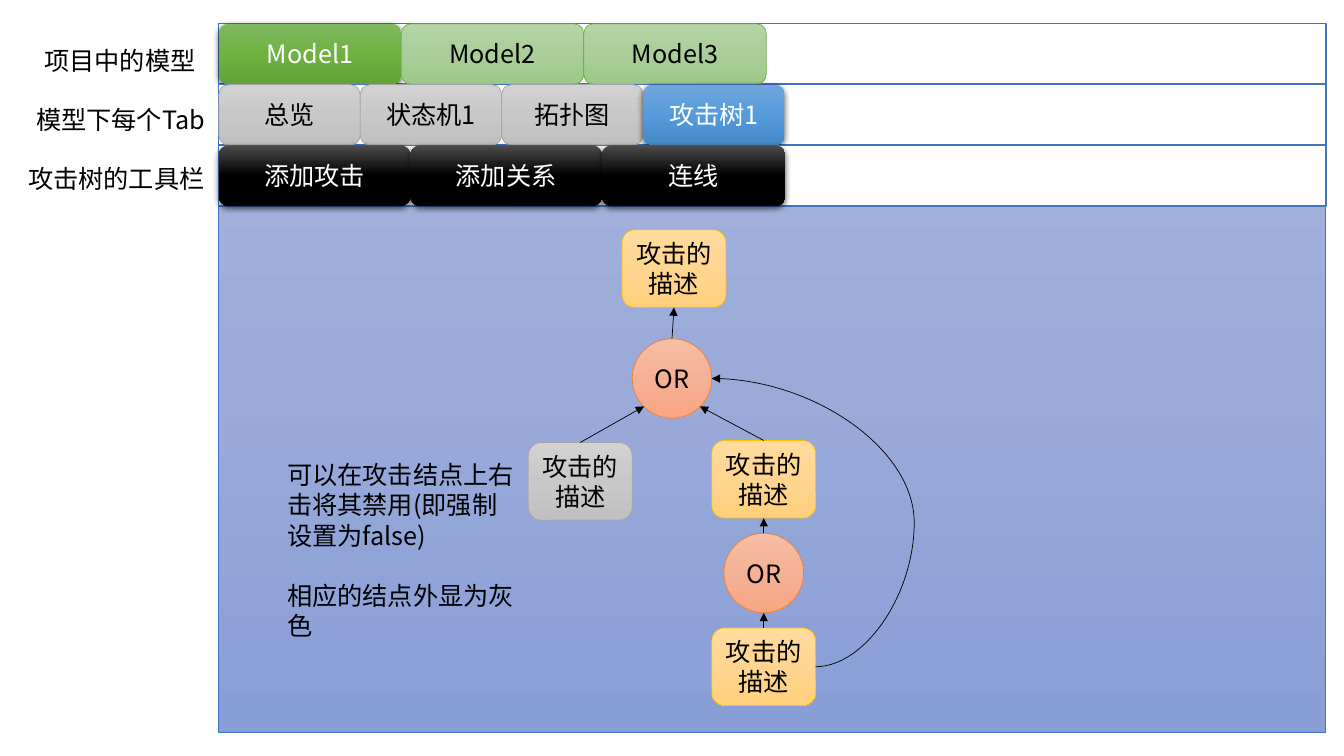
from copy import deepcopy
from lxml.etree import SubElement as Sub
from pptx import Presentation as Deck
from pptx.dml.color import RGBColor as Rgb
from pptx.enum.shapes import MSO_CONNECTOR as Link, MSO_SHAPE as Form
from pptx.enum.text import MSO_ANCHOR as Anchor, PP_ALIGN as Align
from pptx.oxml.ns import qn
from pptx.util import Inches, Pt

FONT = "Noto Sans CJK SC"
COLS, ROWS = 133.3, 75
BLUE, WHITE, BLACK = "4472C4", "FFFFFF", "000000"

# Looks: three gradient stops, line colour (none gives a shadow), text colour
PANE = ("A8B7DF", "9AABD9", "889ED7"), BLUE, BLACK
GREEN = ("81B861", "6FB242", "62A336"), None, WHITE
PALE = ("B5D5A7", "AACE9A", "9CC987"), "70AD47", BLACK
GREY = ("D2D2D2", "C8C8C8", "C0C0C0"), "A5A5A5", BLACK
SKY = ("71A6DB", "559BDB", "448ACA"), None, WHITE
DARK = ("4B4B4B", BLACK, BLACK), None, WHITE
GOLD = ("FFDB9E", "FFD590", "FFD07C"), "FFC000", BLACK
CORAL = ("F7BDA5", "F5B196", "F8A582"), "ED7D31", BLACK


def tint(target, code):
    target.rgb = Rgb.from_string(code)


def write(frame, *lines, color=BLACK, size=18, align=Align.LEFT,
          anchor=Anchor.TOP, gap=0):
    frame.word_wrap = True
    frame.vertical_anchor = anchor
    for i, line in enumerate(lines):
        para = frame.add_paragraph() if i else frame.paragraphs[0]
        para.alignment = align
        if i:
            para.space_before = Pt(gap)
        run = para.add_run()
        run.text = line
        run.font.size, run.font.name = Pt(size), FONT
        tint(run.font.color, color)
        Sub(run._r.rPr, qn("a:ea"), typeface=FONT)


class Sketch:
    def __init__(self, deck):
        self.slide = deck.slides.add_slide(deck.slide_layouts[6])
        self.items = self.slide.shapes
        self.col = deck.slide_width / COLS
        self.row = deck.slide_height / ROWS

    def place(self, x, y, w, h):
        return [round(v * u) for v, u in
                zip((x, y, w, h), (self.col, self.row) * 2)]

    def shape(self, form, spot, edge, width):
        item = self.items.add_shape(form, *self.place(*spot))
        item.shadow.inherit = False
        if edge:
            tint(item.line.color, edge)
            item.line.width = Pt(width)
        else:
            item.line.fill.background()
        return item

    def bar(self, *spot):
        item = self.shape(Form.RECTANGLE, spot, BLUE, 1)
        item.fill.solid()
        tint(item.fill.fore_color, WHITE)

    def block(self, look, *spot, text=None, form=Form.ROUNDED_RECTANGLE):
        stops, edge, ink = look
        item = self.shape(form, spot, edge, 0.5)
        props = item._element.spPr
        item.fill.gradient()
        item.fill.gradient_angle = 270
        marks = props.find(".//" + qn("a:gsLst"))
        marks.insert(1, deepcopy(marks[0]))
        for i, stop in enumerate(item.fill.gradient_stops):
            stop.position = i / 2
            tint(stop.color, stops[i])
        if not edge:
            self.shade(props.find(qn("a:effectLst")))
        if text:
            write(item.text_frame, text, color=ink, align=Align.CENTER,
                  anchor=Anchor.MIDDLE)
        return item

    def shade(self, effects):
        drop = Sub(effects, qn("a:outerShdw"), blurRad=str(Pt(4.5)),
                   dist=str(Pt(1.5)), dir="5400000", rotWithShape="0")
        hue = Sub(drop, qn("a:srgbClr"), val=BLACK)
        Sub(hue, qn("a:alpha"), val="63000")

    def note(self, x, y, w, h, *lines, gap=0):
        box = self.items.add_textbox(*self.place(x, y, w, h))
        write(box.text_frame, *lines, gap=gap)

    def arrow(self, start, exit, goal, entry, bend=None):
        """Join two blocks; entry is (site number, x share, y share)."""
        site, across, down = entry
        tip = (round(goal.left + goal.width * across),
               round(goal.top + goal.height * down))
        kind = Link.STRAIGHT if bend is None else Link.CURVE
        line = self.items.add_connector(kind, 0, 0, *tip)
        line.begin_connect(start, exit)
        joint = line._element.nvCxnSpPr.cNvCxnSpPr
        Sub(joint, qn("a:endCxn"), id=str(goal.shape_id), idx=str(site))
        tint(line.line.color, BLACK)
        line.line.width = Pt(0.5)
        Sub(line.line._get_or_add_ln(), qn("a:tailEnd"), type="triangle")
        props = line._element.spPr
        Sub(props, qn("a:effectLst"))
        if bend is not None:
            guides = props.find(".//" + qn("a:avLst"))
            Sub(guides, qn("a:gd"), name="adj1",
                fmla=f"val {round(bend * 100000)}")


deck = Deck()
deck.slide_width, deck.slide_height = Inches(13.33), Inches(7.5)
art = Sketch(deck)

# Canvas and the three rows of tabs
LEFT, TOP, WIDE, HIGH, STEP = 21.7, 2.35, 109.8, 6, 6.04
art.block(PANE, LEFT, 2.4, WIDE, 70.3, form=Form.RECTANGLE)
bands = [
    [(GREEN, 18.1, "Model1"), (PALE, 18.1, "Model2"), (PALE, 18.1, "Model3")],
    [(GREY, 14.03, "总览"), (GREY, 14.03, "状态机1"),
     (GREY, 14.03, "拓扑图"), (SKY, 14.03, "攻击树1")],
    [(DARK, 19, "添加攻击"), (DARK, 19, "添加关系"), (DARK, 18.2, "连线")],
]
for i, band in enumerate(bands):
    y, x = TOP + i * STEP, LEFT
    art.bar(LEFT, y, WIDE, HIGH)
    for look, width, text in band:
        art.block(look, x, y, width, HIGH, text=text)
        x += width

# Row labels and the remark
art.note(3.4, 4, 17.4, 4, "项目中的模型")
art.note(2.6, 9.9, 18.9, 4, "模型下每个Tab")
art.note(1.8, 15.7, 20.4, 4, "攻击树的工具栏")
art.note(27.5, 45.1, 25, 19.2, "可以在攻击结点上右击将其禁用(即强制设置为false)",
         "相应的结点外显为灰色", gap=21.6)


# Attack tree
def leaf(look, x, y):
    return art.block(look, x, y, 10.3, 7.7, text="攻击的描述")


def gate(x, y):
    return art.block(CORAL, x, y, 7.9, 7.9, text="OR", form=Form.OVAL)


root, off = leaf(GOLD, 61.7, 22.8), leaf(GREY, 52.4, 43.9)
mid, base = leaf(GOLD, 70.6, 43.7), leaf(GOLD, 70.6, 62.3)
upper, lower = gate(62.7, 33.6), gate(71.8, 52.9)

# Arrows: exit sites are 0 top and 3 right
FOOT, STEM = (2, 0.5, 1), (4, 0.5, 1)
art.arrow(upper, 0, root, FOOT)
art.arrow(off, 0, upper, (3, 0.15, 0.85))
art.arrow(mid, 0, upper, (5, 0.85, 0.85))
art.arrow(base, 0, lower, STEM)
art.arrow(lower, 0, mid, FOOT)
art.arrow(base, 3, upper, (6, 1, 0.5), bend=-0.95)

deck.save("out.pptx")
